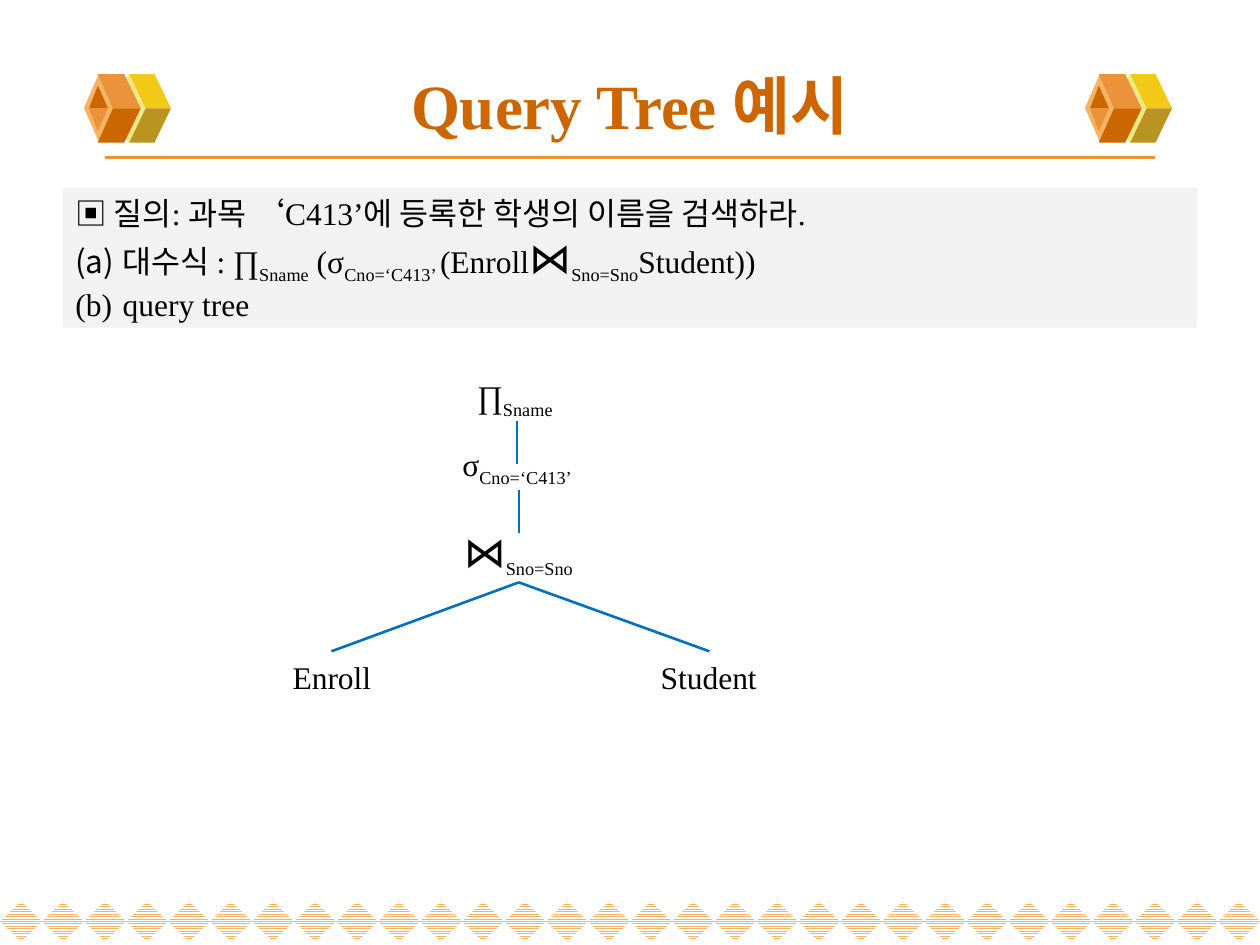
from lxml import etree
from pptx import Presentation
from pptx import util as u
from pptx.dml.color import RGBColor
from pptx.enum import dml, shapes, text
from pptx.oxml import ns

LATIN = "Times New Roman"
KOREAN = "Noto Sans CJK KR"
BLACK = "000000"
ORANGE = "CC6600"
LIGHT_ORANGE = "EB933B"
PALE_ORANGE = "F5B363"
BLUE = "0070C0"
JOIN = ("⋈", "join")


def color(value):
    return RGBColor.from_string(value)


class SlideBuilder:
    def __init__(self, slide):
        self.slide = slide

    def finish(self, shape, fill):
        shape.shadow.inherit = False
        shape.fill.solid()
        shape.fill.fore_color.rgb = color(fill)
        shape.line.fill.background()
        return shape

    def preset(self, kind, left, top, width, height, fill):
        shape = self.slide.shapes.add_shape(
            kind, u.Pt(left), u.Pt(top), u.Pt(width), u.Pt(height))
        return self.finish(shape, fill)

    def striped_diamond(self, left, top, width, height):
        shape = self.preset(shapes.MSO_SHAPE.DIAMOND, left, top, width, height, PALE_ORANGE)
        shape.fill.patterned()
        shape.fill.pattern = dml.MSO_PATTERN.NARROW_HORIZONTAL
        shape.fill.fore_color.rgb = color(PALE_ORANGE)
        shape.fill.back_color.rgb = color("FFFFFF")

    def polygon(self, points, fill):
        corners = [(u.Pt(x), u.Pt(y)) for x, y in points]
        builder = self.slide.shapes.build_freeform(*corners[0])
        builder.add_line_segments(corners[1:], close=True)
        self.finish(builder.convert_to_shape(), fill)

    def line(self, start, end, stroke, width):
        connector = self.slide.shapes.add_connector(
            shapes.MSO_CONNECTOR.STRAIGHT, *(u.Pt(value) for value in start + end))
        connector.line.color.rgb = color(stroke)
        connector.line.width = u.Pt(width)
        etree.SubElement(connector._element.spPr, ns.qn("a:effectLst"))

    def cube(self, left):
        middle = 61.9
        diamond = shapes.MSO_SHAPE.DIAMOND
        right_face = (35.3, 49.7, 40.3, 25.9)
        left_face = (16.6, 32.4, 23, 7.9)
        self.preset(diamond, left + 13.7, 42.4, 24, 39.4, "F1E785")
        self.faces(left, middle, right_face, "F3C917", "BB9321")
        self.preset(diamond, left, 42, 17.3, 39.4, PALE_ORANGE)
        self.faces(left, middle, left_face, LIGHT_ORANGE, ORANGE)
        for rise, fill in ((-13, ORANGE), (13, LIGHT_ORANGE)):
            self.polygon([(left + 7.9, middle + rise), (left + 2.9, middle),
                          (left + 13.7, middle)], fill)

    def faces(self, left, middle, offsets, upper, lower):
        for rise, fill in ((-19.6, upper), (19.6, lower)):
            heights = (middle, middle, middle + rise, middle + rise)
            self.polygon([(left + x, y) for x, y in zip(offsets, heights)], fill)

    def text_box(self, left, top, width, height, parts, **style):
        box = self.slide.shapes.add_textbox(
            u.Pt(left), u.Pt(top), u.Pt(width), u.Pt(height))
        box.text_frame.word_wrap = True
        paragraph = box.text_frame.paragraphs[0]
        paragraph.alignment = text.PP_ALIGN.CENTER
        self.runs(paragraph, parts, **style)
        return box

    def runs(self, paragraph, parts, size=18, fill=BLACK, bold=False):
        for words, role in parts:
            run = paragraph.add_run()
            run.text = words
            run.font.size = u.Pt(24 if role == "join" else size)
            run.font.name = KOREAN if role == "join" else LATIN
            run.font.bold = bold
            run.font.color.rgb = color(fill)
            properties = run.font._element
            etree.SubElement(properties, ns.qn("a:ea"), typeface=KOREAN)
            if role == "sub":
                properties.set("baseline", "-25000")

    def lettered(self, paragraph):
        properties = paragraph._p.get_or_add_pPr()
        properties.set("marL", str(u.Pt(27)))
        properties.set("indent", str(u.Pt(-27)))
        etree.SubElement(properties, ns.qn("a:buAutoNum"), type="alphaLcParenBoth")

    def query_panel(self, left, top, width, height, question, answers):
        panel = self.preset(shapes.MSO_SHAPE.RECTANGLE, left, top, width, height, "F2F2F2")
        frame = panel.text_frame
        frame.word_wrap = True
        frame.vertical_anchor = text.MSO_ANCHOR.TOP
        frame.auto_size = text.MSO_AUTO_SIZE.SHAPE_TO_FIT_TEXT
        frame.paragraphs[0].alignment = text.PP_ALIGN.LEFT
        self.runs(frame.paragraphs[0], question)
        for answer in answers:
            paragraph = frame.add_paragraph()
            paragraph.alignment = text.PP_ALIGN.LEFT
            self.lettered(paragraph)
            self.runs(paragraph, answer)


def main():
    presentation = Presentation()
    presentation.slide_width = u.Pt(720)
    presentation.slide_height = u.Pt(540)
    builder = SlideBuilder(presentation.slides.add_slide(presentation.slide_layouts[6]))

    for column in range(30):
        builder.striped_diamond(column * 24, 515, 24, 23)
    builder.line((60, 90), (660, 90), LIGHT_ORANGE, 2.25)
    for left in (48, 620):
        builder.cube(left)

    title = builder.text_box(36, 28.8, 648, 61.2, [("Query Tree 예시", "base")],
                             size=36, fill=ORANGE, bold=True)
    title.text_frame.vertical_anchor = text.MSO_ANCHOR.MIDDLE

    algebra = [("대수식 : ∏", "base"), ("Sname", "sub"), (" (σ", "base"),
               ("Cno=‘C413’ ", "sub"), ("(Enroll", "base"), JOIN,
               ("Sno=Sno", "sub"), ("Student))", "base")]
    builder.query_panel(36, 107.3, 648, 80,
                        [("▣ 질의: 과목 ‘C413’에 등록한 학생의 이름을 검색하라.", "base")],
                        [algebra, [("query tree", "base")]])

    nodes = [
        (244, 211.7, 103, 29, [("∏", "base"), ("Sname ", "sub")]),
        (244, 250.6, 103, 29, [("σ", "base"), ("Cno=‘C413’", "sub")]),
        (254.2, 296.6, 84, 36, [JOIN, ("Sno=Sno", "sub")]),
        (353.5, 372.2, 103, 29, [("Student", "base")]),
        (138.2, 372.2, 103, 29, [("Enroll", "base")]),
    ]
    for node in nodes:
        builder.text_box(*node)

    join_foot = (296.5, 332.8)
    edges = [
        ((295.4, 240.5), (295.4, 265.4)),
        ((296.5, 280), (296.5, 304.6)),
        (join_foot, (189.4, 372.2)),
        (join_foot, (405.4, 372.2)),
    ]
    for start, end in edges:
        builder.line(start, end, BLUE, 1.5)

    presentation.save("out.pptx")


if __name__ == "__main__":
    main()
